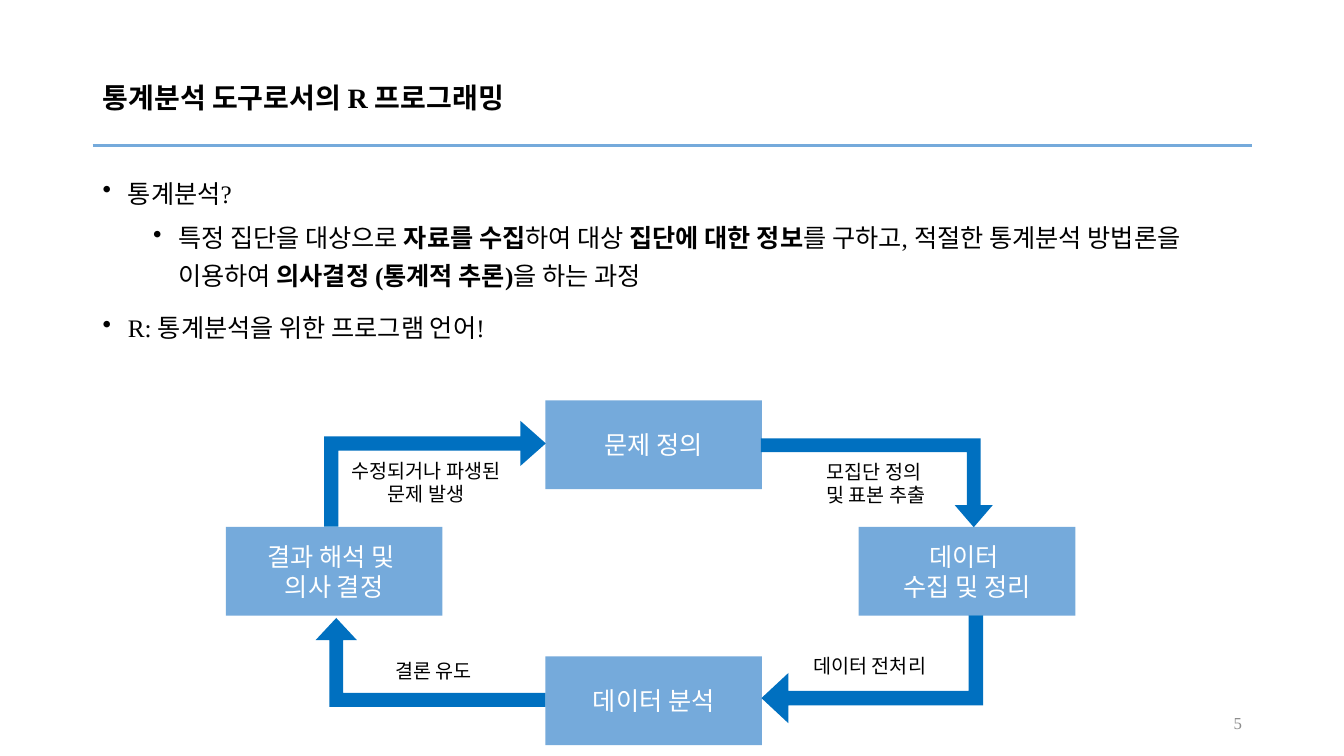
from lxml import etree
from pptx import Presentation, util as u
from pptx.dml.color import RGBColor
from pptx.enum import shapes, text
from pptx.oxml import ns

SERIF, SANS = "Times New Roman", "Noto Sans CJK KR"
BLACK, WHITE, GREY, SKY, BLUE = "000000", "FFFFFF", "8C8C8C", "75AADB", "0070C0"
LEFT, WIDTH = 66.24, 828
RULE_Y = 103.68
BOX_W, BOX_H = 154.8, 63.4
MIDDLE_X = 389.5
SIDE_Y = 376.4

TITLE = "통계분석 도구로서의 R 프로그래밍"
BODY = [
    (0, [("통계분석?", False)]),
    (1, [
        ("특정 집단을 대상으로 ", False),
        ("자료를 수집", True),
        ("하여 대상 ", False),
        ("집단에 대한 정보", True),
        ("를 구하고, 적절한 통계분석 방법론을 이용하여 ", False),
        ("의사결정 (통계적 추론)", True),
        ("을 하는 과정", False),
    ]),
    (0, [("R: 통계분석을 위한 프로그램 언어!", False)]),
]
STEPS = [
    (MIDDLE_X, 286, ["문제 정의"]),
    (613.4, SIDE_Y, ["데이터 ", "수집 및 정리"]),
    (MIDDLE_X, 468.8, ["데이터 분석"]),
    (161.3, SIDE_Y, ["결과 해석 및 ", "의사 결정"]),
]
ARROWS = [
    ((543.6, 313.2, 165.6, 63.4), 0, "flipV", (0.155, 0.215, 0.25)),
    ((225.4, 441.4, 164.2, 63.4), 0, "flipH", (0.155, 0.233, 0.25)),
    ((272.9, 259.2, 75.6, 158.4), 90, "flipH", (0.135, 0.213, 0.24)),
    ((584.6, 398.9, 77, 158.4), 90, "flipV", (0.135, 0.233, 0.25)),
]
LABEL_W = 145.4
LABELS = [
    (551.5, 324.7, ["모집단 정의", " 및 표본 추출"]),
    (548.6, 463.7, ["데이터 전처리"]),
    (236.9, 467.3, ["결론 유도"]),
    (231.8, 324, ["수정되거나 파생된", "문제 발생"]),
]


def colour(value):
    return RGBColor.from_string(value)


def points(*values):
    return [u.Pt(value) for value in values]


def add_span(para, words, size, face, ink, bold=False):
    span = para.add_run()
    span.text = words
    span.font.size = u.Pt(size)
    span.font.name = face
    span.font.bold = bold
    span.font.color.rgb = colour(ink)
    east = etree.SubElement(span.font._element, ns.qn("a:ea"))
    east.set("typeface", SANS)


def next_para(frame, index):
    return frame.add_paragraph() if index else frame.paragraphs[0]


def write_lines(frame, lines, size, face, ink, align, bold=False, spacing=None):
    frame.word_wrap = True
    for index, words in enumerate(lines):
        para = next_para(frame, index)
        para.alignment = align
        para.line_spacing = spacing
        add_span(para, words, size, face, ink, bold)


def add_text_box(page, place, anchor=text.MSO_ANCHOR.TOP):
    frame = page.shapes.add_textbox(*points(*place)).text_frame
    frame.word_wrap = True
    frame.vertical_anchor = anchor
    return frame


def add_block(page, kind, place, fill):
    block = page.shapes.add_shape(kind, *points(*place))
    block.shadow.inherit = False
    block.fill.solid()
    block.fill.fore_color.rgb = colour(fill)
    block.line.fill.background()
    return block


def add_heading(page):
    rule = page.shapes.add_connector(
        shapes.MSO_CONNECTOR.STRAIGHT, *points(LEFT, RULE_Y, LEFT + WIDTH, RULE_Y))
    rule.line.color.rgb = colour(SKY)
    rule.line.width = u.Pt(2)
    etree.SubElement(rule._element.spPr, ns.qn("a:effectLst"))
    frame = add_text_box(page, (LEFT, 28.8, WIDTH, 74.88), text.MSO_ANCHOR.MIDDLE)
    write_lines(frame, [TITLE], 20, SERIF, BLACK, text.PP_ALIGN.LEFT, True, 1.25)


def add_body(page):
    frame = add_text_box(page, (LEFT, 118.1, WIDTH, 368.6))
    for index, (level, spans) in enumerate(BODY):
        para = next_para(frame, index)
        props = para._p.get_or_add_pPr()
        props.set("marL", str(u.Pt(18 + 36 * level)))
        props.set("indent", str(u.Pt(-18)))
        etree.SubElement(props, ns.qn("a:buChar")).set("char", "•")
        para.level = level
        para.line_spacing = 1.25
        if index:
            para.space_before = u.Pt(5 if level else 10)
        for words, bold in spans:
            add_span(para, words, 18, SERIF, BLACK, bold)


def add_cycle(page):
    centre = text.PP_ALIGN.CENTER
    for left, top, lines in STEPS:
        box = add_block(page, shapes.MSO_SHAPE.RECTANGLE, (left, top, BOX_W, BOX_H), SKY)
        box.text_frame.vertical_anchor = text.MSO_ANCHOR.MIDDLE
        write_lines(box.text_frame, lines, 18, SANS, WHITE, centre)
    for place, turn, flip, bends in ARROWS:
        arrow = add_block(page, shapes.MSO_SHAPE.BENT_UP_ARROW, place, BLUE)
        arrow.rotation = turn
        arrow._element.spPr.xfrm.set(flip, "1")
        for index, bend in enumerate(bends):
            arrow.adjustments[index] = bend
    for left, top, lines in LABELS:
        height = 7.2 + 16.9 * len(lines)
        frame = add_text_box(page, (left, top, LABEL_W, height))
        frame.auto_size = text.MSO_AUTO_SIZE.SHAPE_TO_FIT_TEXT
        write_lines(frame, lines, 14, SANS, BLACK, centre)


def main():
    deck = Presentation()
    deck.slide_width, deck.slide_height = points(960, 540)
    page = deck.slides.add_slide(deck.slide_layouts[6])
    add_heading(page)
    add_body(page)
    number = add_text_box(page, (678.24, 500.4, 216, 28.8), text.MSO_ANCHOR.MIDDLE)
    write_lines(number, ["5"], 12, SERIF, GREY, text.PP_ALIGN.RIGHT, spacing=1.25)
    add_cycle(page)
    deck.save("out.pptx")


if __name__ == "__main__":
    main()
